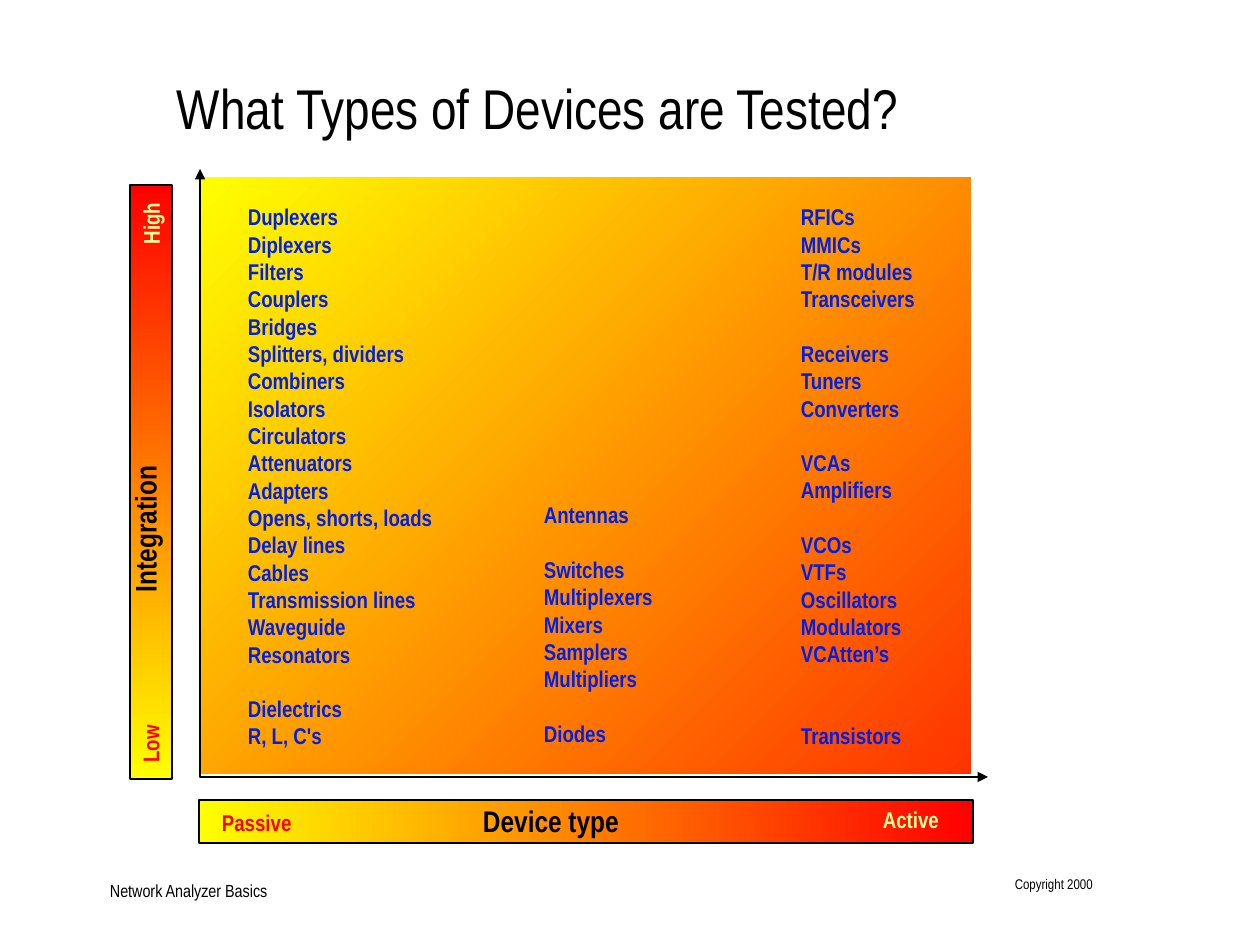
from dataclasses import dataclass

import pptx
import pptx.dml.color
import pptx.enum.shapes
import pptx.enum.text
import pptx.oxml
import pptx.oxml.ns
import pptx.util

EMU_PER_PX = 914400 / 126
ALIGN = pptx.enum.text.PP_ALIGN
ANCHOR = pptx.enum.text.MSO_ANCHOR


@dataclass(frozen=True)
class Theme:
    font: str = "Arial Narrow"
    ink: str = "000000"
    device: str = "001FE2"
    low: str = "FF0000"
    high: str = "FFFF99"
    yellow: str = "FFFF00"
    red: str = "FF0000"
    orange_red: str = "FF3300"
    white: str = "FFFFFF"
    title_pt: int = 32
    axis_pt: int = 17
    label_pt: int = 13
    footer_pt: int = 10
    copyright_pt: int = 8
    line_pt: float = 1.5
    group_gap_pt: float = 15.6


THEME = Theme()


@dataclass(frozen=True)
class Box:
    left: int
    top: int
    width: int
    height: int


@dataclass(frozen=True)
class Label:
    text: str
    box: Box
    size: int
    color: str = THEME.ink
    bold: bool = True
    rotation: int = 0
    align: ALIGN = ALIGN.LEFT
    anchor: ANCHOR = ANCHOR.TOP


@dataclass(frozen=True)
class GradientBar:
    box: Box
    start: str
    end: str
    angle: int  # counter-clockwise degrees
    outline: str = THEME.ink


@dataclass(frozen=True)
class DeviceColumn:
    box: Box
    groups: tuple[tuple[str, ...], ...]  # an empty group widens the gap by one line


BARS = (
    GradientBar(Box(199, 800, 774, 43), THEME.yellow, THEME.red, 0),
    GradientBar(Box(130, 185, 42, 594), THEME.red, THEME.yellow, 270),
    GradientBar(Box(200, 176, 772, 599), THEME.yellow, THEME.orange_red, 315, THEME.white),
)

AXIS_POINTS = ((200, 169), (200, 777), (988, 777))

TITLE = Label("What Types of Devices are Tested?", Box(177, 73, 1053, 64),
              THEME.title_pt, bold=False)

LABELS = (
    Label("Network Analyzer Basics", Box(110, 878, 336, 23), THEME.footer_pt,
          bold=False, anchor=ANCHOR.BOTTOM),
    Label("Copyright 2000", Box(1012, 876, 81, 32), THEME.copyright_pt,
          bold=False, align=ALIGN.RIGHT),
    Label("Device type", Box(483, 803, 188, 37), THEME.axis_pt),
    Label("Active", Box(883, 806, 78, 30), THEME.label_pt, THEME.high),
    Label("Passive", Box(222, 809, 97, 30), THEME.label_pt, THEME.low),
    Label("Integration", Box(13, 440, 266, 38), THEME.axis_pt, rotation=270),
    Label("High", Box(108, 185, 88, 30), THEME.label_pt, THEME.high, rotation=270),
    Label("Low", Box(120, 716, 63, 30), THEME.label_pt, THEME.low, rotation=270),
)

COLUMNS = (
    DeviceColumn(Box(544, 501, 150, 289), (
        ("Antennas",),
        ("Switches", "Multiplexers", "Mixers", "Samplers", "Multipliers"),
        ("Diodes",),
    )),
    DeviceColumn(Box(248, 203, 253, 530), (
        ("Duplexers", "Diplexers", "Filters", "Couplers", "Bridges",
         "Splitters, dividers", "Combiners", "Isolators", "Circulators",
         "Attenuators", "Adapters", "Opens, shorts, loads", "Delay lines",
         "Cables", "Transmission lines", "Waveguide", "Resonators"),
        ("Dielectrics", "R, L, C's"),
    )),
    DeviceColumn(Box(801, 203, 192, 587), (
        ("RFICs", "MMICs", "T/R modules", "Transceivers"),
        ("Receivers", "Tuners", "Converters"),
        ("VCAs", "Amplifiers"),
        ("VCOs", "VTFs", "Oscillators", "Modulators", "VCAtten’s"),
        (),
        ("Transistors",),
    )),
)


def px(length: int) -> int:
    return round(length * EMU_PER_PX)


def rgb(color: str) -> pptx.dml.color.RGBColor:
    return pptx.dml.color.RGBColor.from_string(color)


def place(box: Box) -> tuple[int, int, int, int]:
    return px(box.left), px(box.top), px(box.width), px(box.height)


def prepare_frame(frame, anchor=ANCHOR.TOP) -> None:
    frame.margin_left = frame.margin_top = frame.margin_right = frame.margin_bottom = 0
    frame.word_wrap = True
    frame.auto_size = pptx.enum.text.MSO_AUTO_SIZE.NONE
    frame.vertical_anchor = anchor


def format_font(font, size: int, color: str, bold: bool) -> None:
    font.name = THEME.font
    font.size = pptx.util.Pt(size)
    font.bold = bold
    font.color.rgb = rgb(color)


def write_label(shape, label: Label) -> None:
    shape.rotation = label.rotation
    prepare_frame(shape.text_frame, label.anchor)
    shape.text_frame.text = label.text
    paragraph = shape.text_frame.paragraphs[0]
    paragraph.alignment = label.align
    format_font(paragraph.runs[0].font, label.size, label.color, label.bold)


def set_outline(shape, color: str) -> None:
    shape.shadow.inherit = False
    shape.line.color.rgb = rgb(color)
    shape.line.width = pptx.util.Pt(THEME.line_pt)


def draw_bar(slide, bar: GradientBar) -> None:
    shape = slide.shapes.add_shape(pptx.enum.shapes.MSO_SHAPE.RECTANGLE, *place(bar.box))
    set_outline(shape, bar.outline)
    shape.fill.gradient()
    shape.fill.gradient_angle = bar.angle
    for stop, position, color in zip(shape.fill.gradient_stops, (0, 1), (bar.start, bar.end)):
        stop.position = position
        stop.color.rgb = rgb(color)


def draw_axes(slide) -> None:
    builder = slide.shapes.build_freeform(*AXIS_POINTS[0], scale=EMU_PER_PX)
    builder.add_line_segments(AXIS_POINTS[1:], close=False)
    axes = builder.convert_to_shape()
    axes.fill.background()
    set_outline(axes, THEME.ink)
    line = axes.line._get_or_add_ln()
    for end in ("headEnd", "tailEnd"):
        line.append(pptx.oxml.parse_xml(
            f'<a:{end} {pptx.oxml.ns.nsdecls("a")} type="triangle"/>'))


def draw_column(slide, column: DeviceColumn) -> None:
    frame = slide.shapes.add_textbox(*place(column.box)).text_frame
    prepare_frame(frame)
    frame.text = "\n".join(name for group in column.groups for name in group)
    for paragraph in frame.paragraphs:
        format_font(paragraph.runs[0].font, THEME.label_pt, THEME.device, True)
    # Space before the first device of every later group
    first, gap_lines = 0, 0
    for group in column.groups:
        if group:
            if gap_lines:
                gap = pptx.util.Pt(gap_lines * THEME.group_gap_pt)
                frame.paragraphs[first].space_before = gap
            first += len(group)
            gap_lines = 0
        gap_lines += 1


def main() -> None:
    deck = pptx.Presentation()
    deck.slide_width, deck.slide_height = pptx.util.Inches(10), pptx.util.Inches(7.5)
    slide = deck.slides.add_slide(deck.slide_layouts[5])

    # Title
    title = slide.shapes.title
    title.left, title.top, title.width, title.height = place(TITLE.box)
    write_label(title, TITLE)

    # Scales, device field and axes
    for bar in BARS:
        draw_bar(slide, bar)
    draw_axes(slide)

    # Scale labels, footer and device names
    for label in LABELS:
        write_label(slide.shapes.add_textbox(*place(label.box)), label)
    for column in COLUMNS:
        draw_column(slide, column)

    deck.save("out.pptx")


if __name__ == "__main__":
    main()
